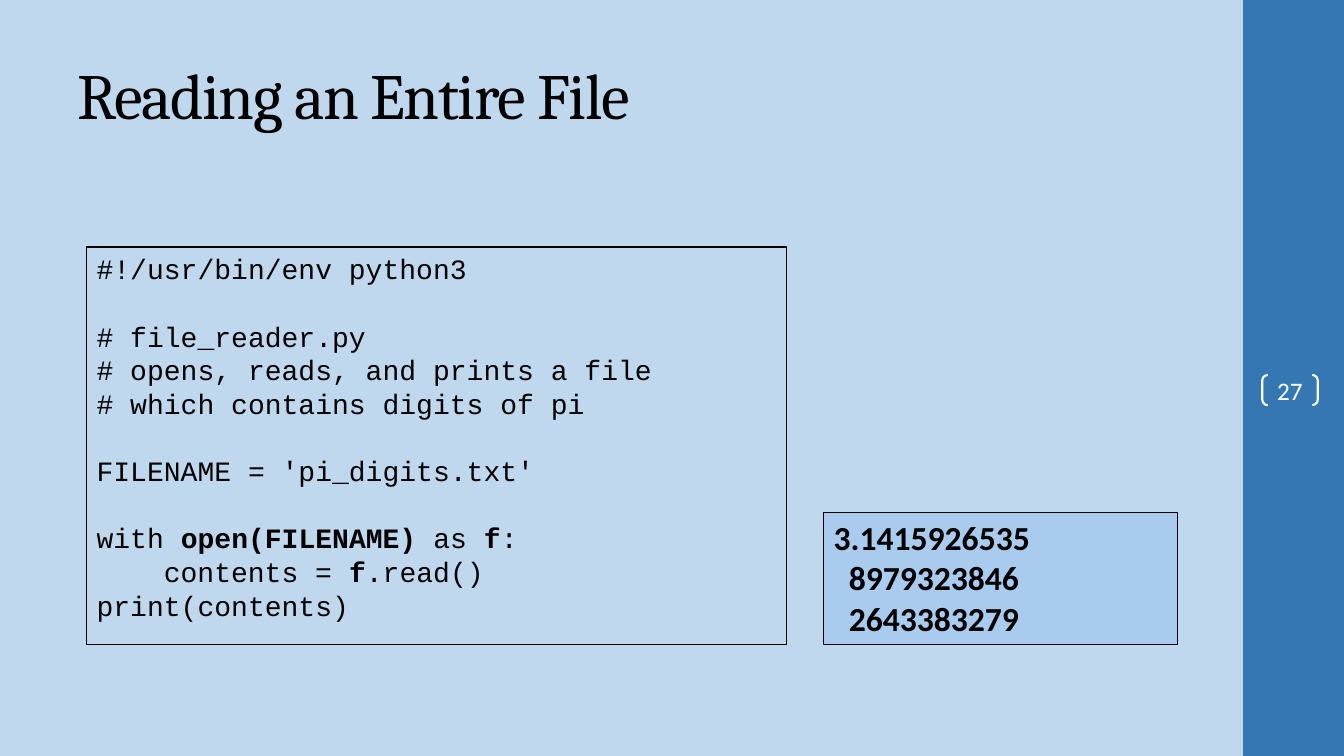
import pptx
import pptx.util
import pptx.dml.color
import pptx.enum.shapes
import pptx.enum.text

Pt = pptx.util.Pt
SHAPE = pptx.enum.shapes.MSO_SHAPE
ALIGN = pptx.enum.text.PP_ALIGN
ANCHOR = pptx.enum.text.MSO_ANCHOR

COLORS = {
    "back": "C0D8ED",
    "band": "3477B2",
    "panel": "A9CCEE",
    "ink": "000000",
    "white": "FFFFFF",
}
CODE_SIZE, CODE_PITCH = 20, 24
CODE_INDENT, DIGIT_INDENT = 48, 10.8

# Each block is a run of lines; * switches bold on and off.
CODE = [
    ["#!/usr/bin/env python3"],
    ["# file_reader.py",
     "# opens, reads, and prints a file",
     "# which contains digits of pi"],
    ["FILENAME = 'pi_digits.txt'"],
    ["with *open(FILENAME) *as *f*:",
     "    contents = *f*.read()",
     "print(contents)"],
]
DIGITS = ["3.1415926535", "  8979323846", "  2643383279"]


def color(name):
    return pptx.dml.color.RGBColor.from_string(COLORS[name])


class Deck:
    """Holds the slide; every box is (left, top, width, height) in percent of its size."""

    def __init__(self):
        self.prs = pptx.Presentation()
        self.prs.slide_width = pptx.util.Inches(13.33)
        self.prs.slide_height = pptx.util.Inches(7.5)
        self.slide = self.prs.slides.add_slide(self.prs.slide_layouts[5])
        fill = self.slide.background.fill
        fill.solid()
        fill.fore_color.rgb = color("back")

    def place(self, item, box):
        wide, high = self.prs.slide_width, self.prs.slide_height
        item.left, item.width = (int(wide * box[i] / 100) for i in (0, 2))
        item.top, item.height = (int(high * box[i] / 100) for i in (1, 3))

    def font(self, run, face, size, ink="ink", bold=False):
        run.font.name, run.font.size, run.font.bold = face, Pt(size), bold
        run.font.color.rgb = color(ink)

    def title(self, box, text):
        item = self.slide.shapes.title
        self.place(item, box)
        frame = item.text_frame
        frame.text = text
        frame.word_wrap = True
        frame.vertical_anchor = ANCHOR.MIDDLE
        frame.paragraphs[0].alignment = ALIGN.LEFT
        run = frame.paragraphs[0].runs[0]
        self.font(run, "Cambria", 46)
        run.font._element.set("spc", "-100")

    def shape(self, box, fill=None, line=None, width=0.75, kind=SHAPE.RECTANGLE):
        item = self.slide.shapes.add_shape(kind, 0, 0, 0, 0)
        self.place(item, box)
        item.shadow.inherit = False
        if fill:
            item.fill.solid()
            item.fill.fore_color.rgb = color(fill)
        else:
            item.fill.background()
        if line:
            item.line.color.rgb = color(line)
            item.line.width = Pt(width)
        else:
            item.line.fill.background()
        return item

    def lines(self, item, blocks, face, size, indent, bold=False, pitch=None):
        """Write blocks of lines; leading spaces become an indent, blocks a gap."""
        frame = item.text_frame
        frame.word_wrap = True
        frame.vertical_anchor = ANCHOR.TOP
        rows = [(b > 0 and i == 0, text)
                for b, block in enumerate(blocks) for i, text in enumerate(block)]
        frame.text = "\n".join("" for _ in rows)
        for para, (gap, text) in zip(frame.paragraphs, rows):
            para.alignment = ALIGN.LEFT
            if pitch:
                para.line_spacing = Pt(pitch)
                para.space_before = Pt(pitch if gap else 0)
            if text.startswith(" "):
                props = para._p.get_or_add_pPr()
                props.set("marL", str(int(Pt(indent))))
                props.set("indent", "0")
            for i, part in enumerate(text.lstrip().split("*")):
                run = para.add_run()
                run.text = part
                self.font(run, face, size, bold=bold or i % 2 == 1)

    def number(self, box, text):
        item = self.shape(box, line="white", width=1.5, kind=SHAPE.DOUBLE_BRACKET)
        item.adjustments[0] = 0.18
        frame = item.text_frame
        frame.text = text
        frame.word_wrap = False
        frame.vertical_anchor = ANCHOR.MIDDLE
        frame.margin_left = frame.margin_right = 0
        frame.margin_top = frame.margin_bottom = 0
        frame.paragraphs[0].alignment = ALIGN.CENTER
        self.font(frame.paragraphs[0].runs[0], "Calibri", 18, "white")


def main():
    deck = Deck()
    deck.shape((92.5, 0, 7.5, 100), fill="band")
    deck.title((5.03, 4, 83.35, 16.67), "Reading an Entire File")
    deck.number((93.92, 49.6, 4.13, 4), "27")
    code = deck.shape((6.45, 32.67, 52.06, 52.53), line="ink")
    deck.lines(code, CODE, "Courier New", CODE_SIZE, CODE_INDENT, pitch=CODE_PITCH)
    digits = deck.shape((61.29, 67.73, 26.33, 17.47), fill="panel", line="ink")
    deck.lines(digits, [DIGITS], "Calibri", 24, DIGIT_INDENT, bold=True)
    deck.prs.save("out.pptx")


if __name__ == "__main__":
    main()
